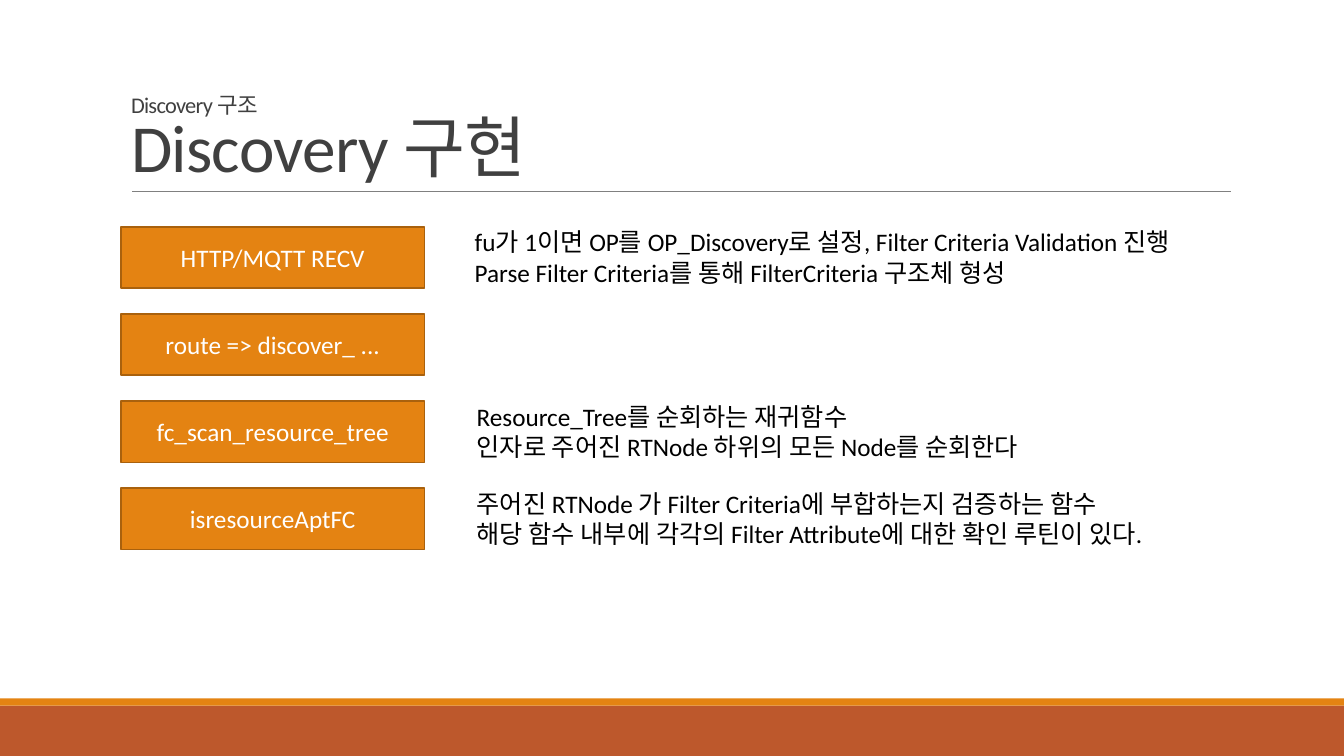
from dataclasses import dataclass

from lxml import etree
from pptx import Presentation
from pptx import util as u
from pptx.dml.color import RGBColor
from pptx.enum import shapes, text
from pptx.oxml.ns import qn


@dataclass(frozen=True)
class Theme:
    font: str = "Calibri"
    orange: str = "E48312"
    rust: str = "BD582C"
    outline: str = "A9610D"
    rule: str = "808080"
    heading: str = "404040"
    ink: str = "000000"
    white: str = "FFFFFF"
    kicker_size: int = 16
    title_size: int = 48
    body_size: int = 18


THEME = Theme()
WIDTH, HEIGHT = 13.33, 7.5

# Grid: one row per step, labels on the left and notes on the right
LEFT, TOP, PITCH = 1.2, 2.25, 0.864
STEP_WIDTH, STEP_HEIGHT = 3.01, 0.61
NOTE_HEIGHT = 0.71

STEPS = ["HTTP/MQTT RECV", "route => discover_ ...",
         "fc_scan_resource_tree", "isresourceAptFC"]

# Row, left edge, width, lines
NOTES = [
    (0, 4.61, 7.35,
     "fu가 1이면 OP를 OP_Discovery로 설정, Filter Criteria Validation 진행\n"
     "Parse Filter Criteria를 통해 FilterCriteria 구조체 형성"),
    (2, 4.63, 5.96,
     "Resource_Tree를 순회하는 재귀함수\n"
     "인자로 주어진 RTNode 하위의 모든 Node를 순회한다"),
    (3, 4.63, 7.22,
     "주어진 RTNode 가 Filter Criteria에 부합하는지 검증하는 함수\n"
     "해당 함수 내부에 각각의 Filter Attribute에 대한 확인 루틴이 있다."),
]


def inches(*lengths):
    return [u.Inches(length) for length in lengths]


def style_span(span, size, color):
    span.font.name = THEME.font
    span.font.size = u.Pt(size)
    span.font.color.rgb = RGBColor.from_string(color)


def style_frame(frame, color, align):
    for para in frame.paragraphs:
        para.alignment = align
        for span in para.runs:
            style_span(span, THEME.body_size, color)


def add_block(page, left, top, width, height, fill):
    box = page.shapes.add_shape(shapes.MSO_SHAPE.RECTANGLE,
                                *inches(left, top, width, height))
    box.shadow.inherit = False
    box.fill.solid()
    box.fill.fore_color.rgb = RGBColor.from_string(fill)
    box.line.fill.background()
    return box


def add_rule(page, left, right, top):
    rule = page.shapes.add_connector(shapes.MSO_CONNECTOR.STRAIGHT,
                                     *inches(left, top, right, top))
    rule.line.color.rgb = RGBColor.from_string(THEME.rule)
    rule.line.width = u.Pt(0.5)
    etree.SubElement(rule._element.spPr, qn("a:effectLst"))


def set_title(page, kicker, heading):
    title = page.shapes.title
    title.left, title.top, title.width, title.height = inches(LEFT, 0.31, 11, 1.59)
    frame = title.text_frame
    frame.text = f"{kicker}\v{heading}"
    frame.word_wrap = True
    frame.auto_size = text.MSO_AUTO_SIZE.NONE
    frame.vertical_anchor = text.MSO_ANCHOR.BOTTOM
    para = frame.paragraphs[0]
    para.alignment = text.PP_ALIGN.LEFT
    para.line_spacing = 0.85
    for span, size in zip(para.runs, (THEME.kicker_size, THEME.title_size)):
        style_span(span, size, THEME.heading)
        span._r.get_or_add_rPr().set("spc", "-50")


def add_step(page, row, label):
    box = add_block(page, LEFT, TOP + row * PITCH, STEP_WIDTH, STEP_HEIGHT, THEME.orange)
    box.line.color.rgb = RGBColor.from_string(THEME.outline)
    box.line.width = u.Pt(1.25)
    box.text_frame.text = label
    box.text_frame.vertical_anchor = text.MSO_ANCHOR.MIDDLE
    style_frame(box.text_frame, THEME.white, text.PP_ALIGN.CENTER)


def add_note(page, row, left, width, lines):
    # Notes are centred on the step of their row
    top = TOP + row * PITCH - (NOTE_HEIGHT - STEP_HEIGHT) / 2
    box = page.shapes.add_textbox(*inches(left, top, width, NOTE_HEIGHT))
    frame = box.text_frame
    frame.word_wrap = True
    frame.auto_size = text.MSO_AUTO_SIZE.SHAPE_TO_FIT_TEXT
    frame.text = lines
    style_frame(frame, THEME.ink, text.PP_ALIGN.LEFT)


def main():
    deck = Presentation()
    deck.slide_width, deck.slide_height = inches(WIDTH, HEIGHT)
    page = deck.slides.add_slide(deck.slide_layouts.get_by_name("Title Only"))

    # Footer bands and title rule
    add_block(page, 0, 7, WIDTH, 0.5, THEME.rust)
    add_block(page, 0, 6.93, WIDTH, 0.07, THEME.orange)
    add_rule(page, 1.31, 12.21, 1.9)

    set_title(page, "Discovery 구조", "Discovery 구현")

    # Steps and their notes
    for row, label in enumerate(STEPS):
        add_step(page, row, label)
    for note in NOTES:
        add_note(page, *note)

    deck.save("out.pptx")


if __name__ == "__main__":
    main()
